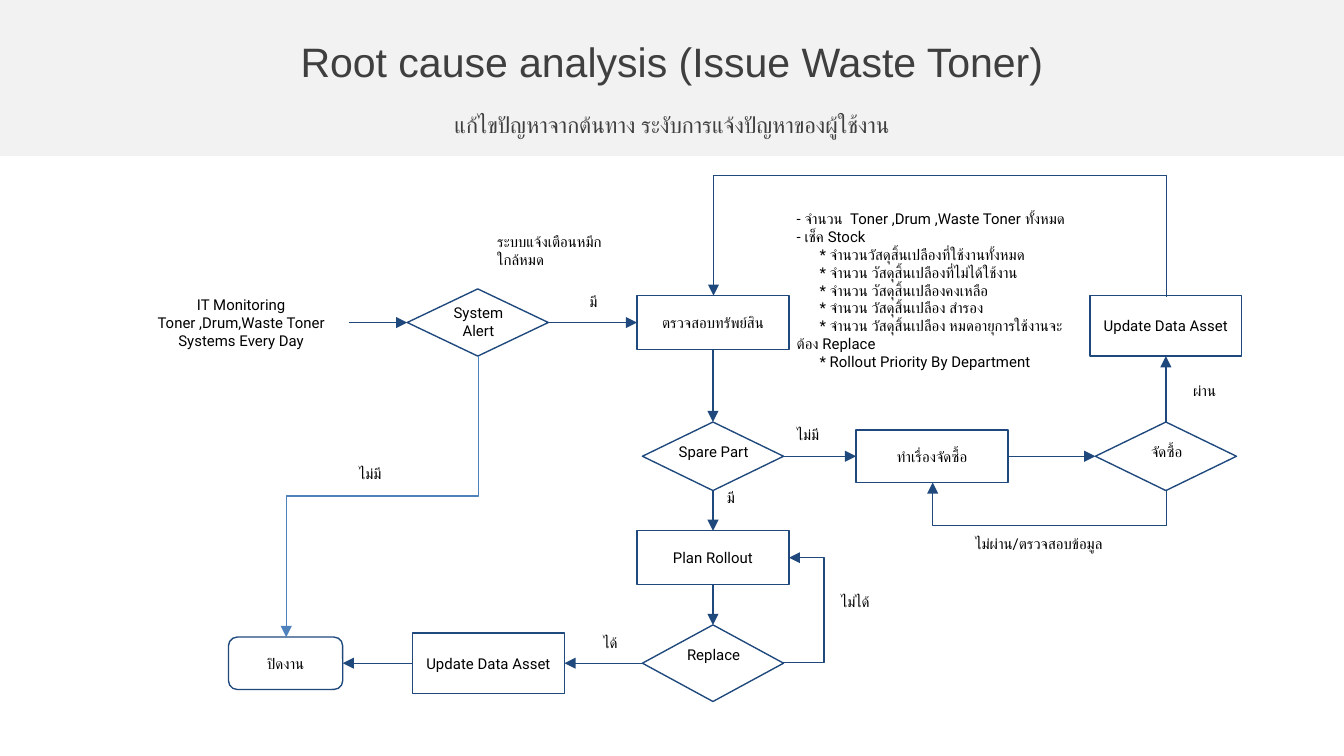
from lxml import etree
from pptx import Presentation
from pptx.dml.color import RGBColor
from pptx.enum import shapes, text
from pptx.oxml import ns
from pptx.util import Inches, Pt

COLORS = {"band": "F2F2F2", "heading": "3F3F3F", "ink": "000000",
          "navy": "1F497D", "blue": "4F81BD", "white": "FFFFFF"}
TITLE = "Root cause analysis (Issue Waste Toner)"
SUBTITLE = "แก้ไขปัญหาจากต้นทาง ระงับการแจ้งปัญหาของผู้ใช้งาน"
BOXES = {
    "check": ("ตรวจสอบทรัพย์สิน", 4.74, 2.2, 1.13, 0.4),
    "purchase": ("ทำเรื่องจัดซื้อ", 6.37, 3.2, 1.13, 0.39),
    "plan": ("Plan Rollout", 4.74, 3.95, 1.13, 0.4),
    "update_end": ("Update Data Asset", 3.07, 4.71, 1.13, 0.45),
    "update_top": ("Update Data Asset", 8.11, 2.2, 1.13, 0.45),
    "close": ("ปิดงาน", 1.7, 4.74, 0.85, 0.39),
}
DECISIONS = {
    "spare": ("Spare Part", 4.78, 3.14, 0.51, 0.09, 0.34),
    "approve": ("จัดซื้อ", 8.15, 3.14, 0.51, 0.09, 0.34),
    "replace": ("Replace", 4.78, 4.65, 0.57, 0.09, 0.34),
    "alert": ("System Alert", 3.03, 2.15, 0.5, 0.01, 0.47),
}
MONITORING = ("IT Monitoring Toner ,Drum,Waste Toner Systems Every Day", 0.99, 2.1, 1.61, 0.6)
LABELS = [
    ("ผ่าน", 8.78, 2.77, 0.6, 0.34, "left"),
    ("ไม่มี", 5.83, 3.1, 0.41, 0.34, "left"),
    ("มี", 5.31, 3.57, 0.41, 0.34, "left"),
    ("ได้", 4.39, 4.65, 0.41, 0.34, "left"),
    ("ไม่ได้", 6.16, 4.34, 0.52, 0.34, "left"),
    ("ระบบแจ้งเตือนหมึกใกล้หมด", 3.6, 1.63, 1.09, 0.47, "left"),
    ("มี", 4.21, 2.11, 0.41, 0.34, "center"),
    ("ไม่มี", 2.55, 3.39, 0.41, 0.34, "center"),
    ("ไม่ผ่าน/ตรวจสอบข้อมูล", 7.16, 3.91, 1.3, 0.34, "left"),
]
CHECKLIST = [
    "- จำนวน  Toner ,Drum ,Waste Toner ทั้งหมด",
    "- เช็ค Stock",
    "* จำนวนวัสดุสิ้นเปลืองที่ใช้งานทั้งหมด",
    "* จำนวน วัสดุสิ้นเปลืองที่ไม่ได้ใช้งาน",
    "* จำนวน วัสดุสิ้นเปลืองคงเหลือ",
    "* จำนวน วัสดุสิ้นเปลือง สำรอง",
    "* จำนวน วัสดุสิ้นเปลือง หมดอายุการใช้งานจะต้อง Replace",
    "* Rollout Priority By Department",
]
TOP, LEFT, BOTTOM, RIGHT = range(4)
ARROWS = [
    ("monitoring", RIGHT, "alert", LEFT), ("alert", RIGHT, "check", LEFT),
    ("check", BOTTOM, "spare", TOP), ("spare", RIGHT, "purchase", LEFT),
    ("purchase", RIGHT, "approve", LEFT), ("approve", TOP, "update_top", BOTTOM),
    ("spare", BOTTOM, "plan", TOP), ("plan", BOTTOM, "replace", TOP),
    ("replace", LEFT, "update_end", RIGHT), ("update_end", LEFT, "close", RIGHT),
]
# start, end, bend position, colour
VERTICAL_ELBOWS = [
    ((3.56, 2.65), (2.13, 4.74), 3.69, "blue"),
    ((8.68, 3.65), (6.94, 3.59), 3.91, "navy"),
    ((8.68, 2.21), (5.31, 2.2), 1.29, "navy"),
]
REPLACE_LOOP = ((5.83, 4.93), (5.87, 4.15), 6.13, "navy")


def color(name):
    return RGBColor.from_string(COLORS[name])


def write(box, lines, align="center", size=8, font="Roboto", ink="ink", inset=(0.1, 0.1),
          middle=False, grow=False):
    frame = box.text_frame
    frame.text = "\n".join(lines)
    frame.word_wrap = True
    frame.auto_size = text.MSO_AUTO_SIZE.SHAPE_TO_FIT_TEXT if grow else text.MSO_AUTO_SIZE.NONE
    frame.margin_left = frame.margin_right = Inches(inset[0])
    frame.margin_top = frame.margin_bottom = Inches(inset[1])
    frame.vertical_anchor = text.MSO_ANCHOR.MIDDLE if middle else text.MSO_ANCHOR.TOP
    for paragraph in frame.paragraphs:
        paragraph.alignment = getattr(text.PP_ALIGN, align.upper())
        for span in paragraph.runs:
            span.font.name, span.font.size = font, Pt(size)
            span.font.color.rgb = color(ink)


def add_text(parent, lines, place, grow=True, **style):
    box = parent.add_textbox(*map(Inches, place))
    write(box, lines, grow=grow, **style)
    return box


def add_outline(parent, kind, place, fill=None, line="navy"):
    shape = parent.add_shape(kind, *map(Inches, place))
    shape.shadow.inherit = False
    if fill:
        shape.fill.solid()
        shape.fill.fore_color.rgb = color(fill)
    else:
        shape.fill.background()
    if line:
        shape.line.color.rgb = color(line)
        shape.line.width = Pt(0.75)
    else:
        shape.line.fill.background()
    return shape


def add_arrow(page, kind, start=(0, 0), end=(0, 0), line="navy"):
    arrow = page.shapes.add_connector(kind, *map(Inches, (*start, *end)))
    arrow.line.color.rgb = color(line)
    arrow.line.width = Pt(0.75)
    outline = arrow.element.spPr.find(ns.qn("a:ln"))
    etree.SubElement(outline, ns.qn("a:tailEnd"), type="triangle")
    etree.SubElement(arrow.element.spPr, ns.qn("a:effectLst"))
    return arrow


def set_bend(arrow, ratio):
    guides = arrow.element.spPr.find(ns.qn("a:prstGeom")).get_or_add_avLst()
    etree.SubElement(guides, ns.qn("a:gd"), name="adj1", fmla=f"val {round(ratio * 100000)}")


def add_vertical_elbow(page, start, end, bend, line):
    (x1, y1), (x2, y2) = start, end
    length, breadth = abs(y2 - y1), abs(x2 - x1)
    left, top = (x1 + x2 - length) / 2, (y1 + y2 - breadth) / 2
    corners = (left, top), (left + length, top + breadth)
    if y2 < y1:
        corners = (left + length, top), (left, top + breadth)
    arrow = add_arrow(page, shapes.MSO_CONNECTOR.ELBOW, *corners, line)
    arrow.element.spPr.find(ns.qn("a:xfrm")).set("rot", str(90 * 60000))
    set_bend(arrow, (bend - y1) / (y2 - y1))


def main():
    """Build the waste toner root cause flowchart slide."""
    deck = Presentation()
    deck.slide_width, deck.slide_height = Inches(10), Inches(10 * 9 / 16)
    page = deck.slides.add_slide(deck.slide_layouts[5])
    kinds = shapes.MSO_SHAPE

    title = page.shapes.title
    title.left, title.top, title.width, title.height = map(Inches, (0, 0.14, 10, 0.63))
    write(title, [TITLE], size=22, font="Arial", ink="heading", inset=(0.1, 0.05), middle=True)
    band = add_outline(page.shapes, kinds.RECTANGLE, (0, 0, 10, 1.16), "band", None)
    title.element.addprevious(band.element)
    add_text(page.shapes, [SUBTITLE], (0, 0.77, 10, 0.31), grow=False, size=12,
             ink="heading", inset=(0.1, 0.05), middle=True)

    nodes = {"monitoring": add_text(page.shapes, MONITORING[:1], MONITORING[1:])}
    for name, (label, *place) in BOXES.items():
        kind = kinds.ROUNDED_RECTANGLE if name == "close" else kinds.RECTANGLE
        nodes[name] = add_outline(page.shapes, kind, place)
        write(nodes[name], [label], middle=True)
    for name, (label, left, top, height, drop, label_height) in DECISIONS.items():
        group = page.shapes.add_group_shape()
        nodes[name] = add_outline(group.shapes, kinds.DIAMOND, (left, top, 1.05, height), "white")
        add_text(group.shapes, [label], (left + 0.12, top + drop, 0.82, label_height))

    for source, source_side, target, target_side in ARROWS:
        arrow = add_arrow(page, shapes.MSO_CONNECTOR.STRAIGHT)
        arrow.begin_connect(nodes[source], source_side)
        arrow.end_connect(nodes[target], target_side)
    for elbow in VERTICAL_ELBOWS:
        add_vertical_elbow(page, *elbow)
    start, end, bend, line = REPLACE_LOOP
    loop = add_arrow(page, shapes.MSO_CONNECTOR.ELBOW, start, end, line)
    set_bend(loop, (bend - start[0]) / (end[0] - start[0]))

    for label, *place, align in LABELS:
        add_text(page.shapes, [label], place, align=align)
    checklist = add_text(page.shapes, CHECKLIST, (5.83, 1.46, 2.24, 1.55), align="left")
    for paragraph in checklist.text_frame.paragraphs:
        if paragraph.text.startswith("*"):
            paragraph._p.get_or_add_pPr().set("indent", str(Inches(0.17)))
    deck.save("out.pptx")


if __name__ == "__main__":
    main()
